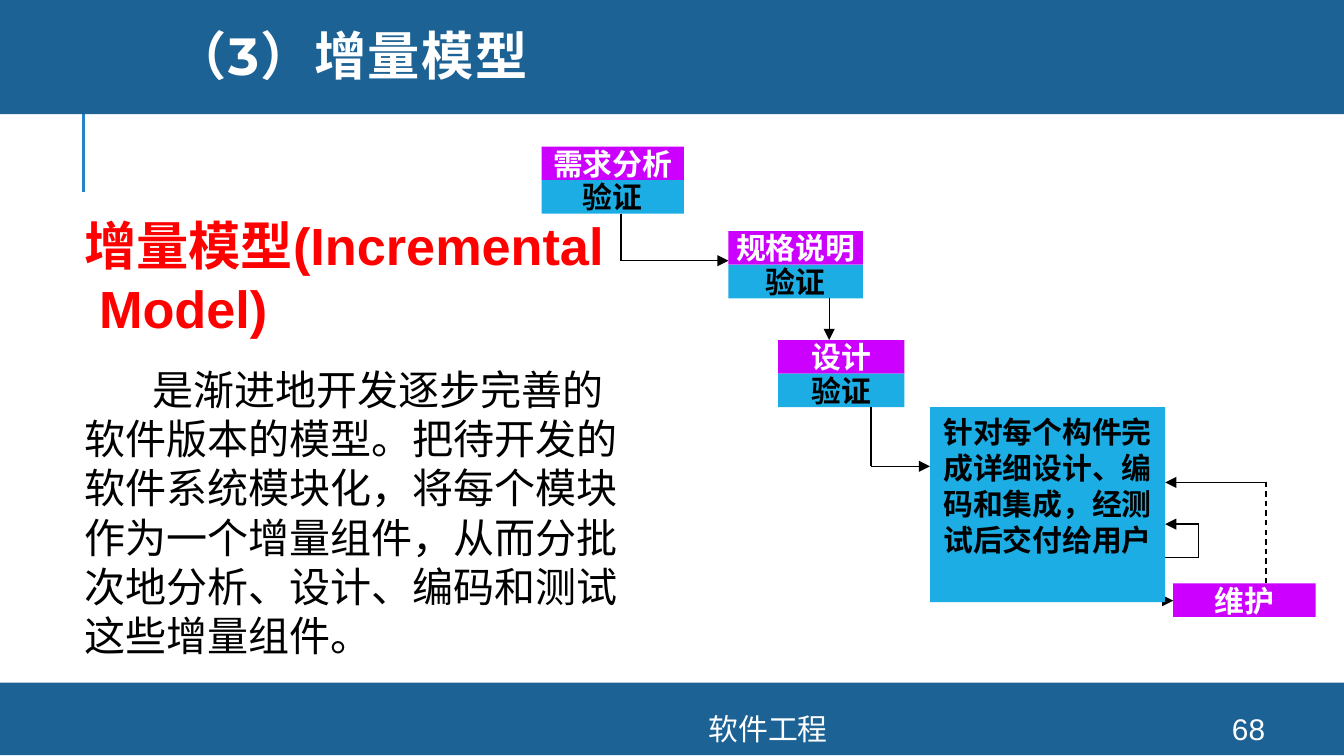
from dataclasses import dataclass

from lxml import etree
from pptx import Presentation
from pptx import util as u
from pptx.dml.color import RGBColor
from pptx.enum import dml, shapes, text
from pptx.oxml import ns


@dataclass(frozen=True)
class Theme:
    band: str = "1D6294"
    rule: str = "2683C6"
    stage: str = "CC00FF"
    check: str = "1CADE4"
    accent: str = "FF0000"
    ink: str = "000000"
    paper: str = "FFFFFF"
    body_font: str = "Arial"
    title_font: str = "Montserrat"
    heading: int = 28
    body: int = 22
    label: int = 16


class SlideBuilder:
    ROW = 0.25

    def __init__(self, slide, theme):
        self.slide = slide
        self.theme = theme

    def style(self, para, size, color, bold=False, font=None, align=None):
        para.alignment = align
        for span in para.runs:
            span.font.name = font or self.theme.body_font
            span.font.size = u.Pt(size)
            span.font.bold = bold
            span.font.color.rgb = RGBColor.from_string(color)

    def indent(self, para, left, first):
        props = para._p.get_or_add_pPr()
        props.set("marL", str(u.Inches(left)))
        props.set("indent", str(u.Inches(first)))

    def rect(self, left, top, width, height, color):
        box = self.slide.shapes.add_shape(
            shapes.MSO_SHAPE.RECTANGLE, *map(u.Inches, (left, top, width, height)))
        box.shadow.inherit = False
        box.fill.solid()
        box.fill.fore_color.rgb = RGBColor.from_string(color)
        box.line.fill.background()
        return box

    def label(self, left, top, width, height, words, fill, color, wrap=False):
        frame = self.rect(left, top, width, height, fill).text_frame
        frame.word_wrap = wrap
        frame.vertical_anchor = text.MSO_ANCHOR.TOP if wrap else text.MSO_ANCHOR.MIDDLE
        frame.text = words
        self.style(frame.paragraphs[0], self.theme.label, color, True,
                   align=text.PP_ALIGN.CENTER)

    def stage(self, left, top, width, words, checked=True):
        theme = self.theme
        self.label(left, top, width, self.ROW, words, theme.stage, theme.paper)
        if checked:
            self.label(left, top + self.ROW, width, self.ROW, "验证", theme.check, theme.ink)

    def textbox(self, left, top, width, height, anchor=text.MSO_ANCHOR.MIDDLE):
        box = self.slide.shapes.add_textbox(*map(u.Inches, (left, top, width, height)))
        frame = box.text_frame
        frame.word_wrap = True
        frame.vertical_anchor = anchor
        return frame

    def footer(self, left, width, words):
        frame = self.textbox(left, 5.31, width, 0.23)
        frame.text = words
        self.style(frame.paragraphs[0], self.theme.label, self.theme.paper,
                   align=text.PP_ALIGN.CENTER)

    def line(self, start, end, color, width=0.75, arrow=False, dashed=False):
        link = self.slide.shapes.add_connector(
            shapes.MSO_CONNECTOR.STRAIGHT, *map(u.Inches, (*start, *end)))
        link.line.color.rgb = RGBColor.from_string(color)
        link.line.width = u.Pt(width)
        if dashed:
            link.line.dash_style = dml.MSO_LINE.DASH
        if arrow:
            etree.SubElement(link.line._get_or_add_ln(), ns.qn("a:tailEnd"), type="triangle")
        etree.SubElement(link._element.spPr, ns.qn("a:effectLst"))

    def route(self, *points, dashed_start=False):
        last = len(points) - 2
        for index, (start, end) in enumerate(zip(points, points[1:])):
            self.line(start, end, self.theme.ink, arrow=index == last,
                      dashed=dashed_start and index == 0)

    def title(self, words):
        frame = self.textbox(1.2, 0, 8.49, 0.9)
        frame.text = words
        para = frame.paragraphs[0]
        para.line_spacing = 0.8
        self.style(para, self.theme.heading, self.theme.paper, True, self.theme.title_font)
        para.runs[0]._r.get_or_add_rPr().set("spc", "80")

    def definition(self, term, meaning):
        frame = self.textbox(0.53, 1.54, 4.24, 3.46, text.MSO_ANCHOR.TOP)
        frame.text = term
        heading = frame.paragraphs[0]
        self.indent(heading, 0.11, -0.11)
        self.style(heading, self.theme.heading, self.theme.accent, True)
        para = frame.add_paragraph()
        para.text = meaning
        self.indent(para, 0, 0.51)
        para.space_before = u.Pt(13.5)
        self.style(para, self.theme.body, self.theme.ink)


def main():
    deck = Presentation()
    deck.slide_width = u.Inches(10)
    deck.slide_height = deck.slide_width * 9 // 16
    theme = Theme()
    page = SlideBuilder(deck.slides.add_slide(deck.slide_layouts[6]), theme)

    page.line((0.62, 1.43), (0.62, 0.68), theme.rule, 1.5)
    page.rect(0, 5.08, 10, 0.54, theme.band)
    page.rect(0, -0.03, 10, 0.88, theme.band)
    page.definition(
        "增量模型(Incremental Model)",
        "是渐进地开发逐步完善的软件版本的模型。把待开发的软件系统模块化，"
        "将每个模块作为一个增量组件，从而分批次地分析、设计、编码和测试这些增量组件。")

    page.stage(4.03, 1.09, 1.06, "需求分析")
    page.stage(5.42, 1.72, 1, "规格说明")
    page.stage(5.79, 2.53, 0.94, "设计")
    page.stage(8.73, 4.34, 1.06, "维护", checked=False)

    page.route((6.17, 2.22), (6.17, 2.53))
    page.route((6.48, 3.03), (6.48, 3.47), (6.92, 3.47))
    page.route((7.73, 4.47), (8.73, 4.47))
    page.route((8.67, 4.15), (8.92, 4.15), (8.92, 3.9), (8.67, 3.9))
    page.route((9.42, 4.34), (9.42, 3.59), (8.67, 3.59), dashed_start=True)
    page.label(6.92, 3.03, 1.75, 1.45,
               "针对每个构件完成详细设计、编码和集成，经测试后交付给用户",
               theme.check, theme.ink, wrap=True)
    page.route((4.62, 1.59), (4.62, 1.94), (5.42, 1.94))

    page.title("（3）增量模型")
    page.footer(8.89, 0.8, "68")
    page.footer(2.61, 6.21, "软件工程")
    deck.save("out.pptx")


if __name__ == "__main__":
    main()
